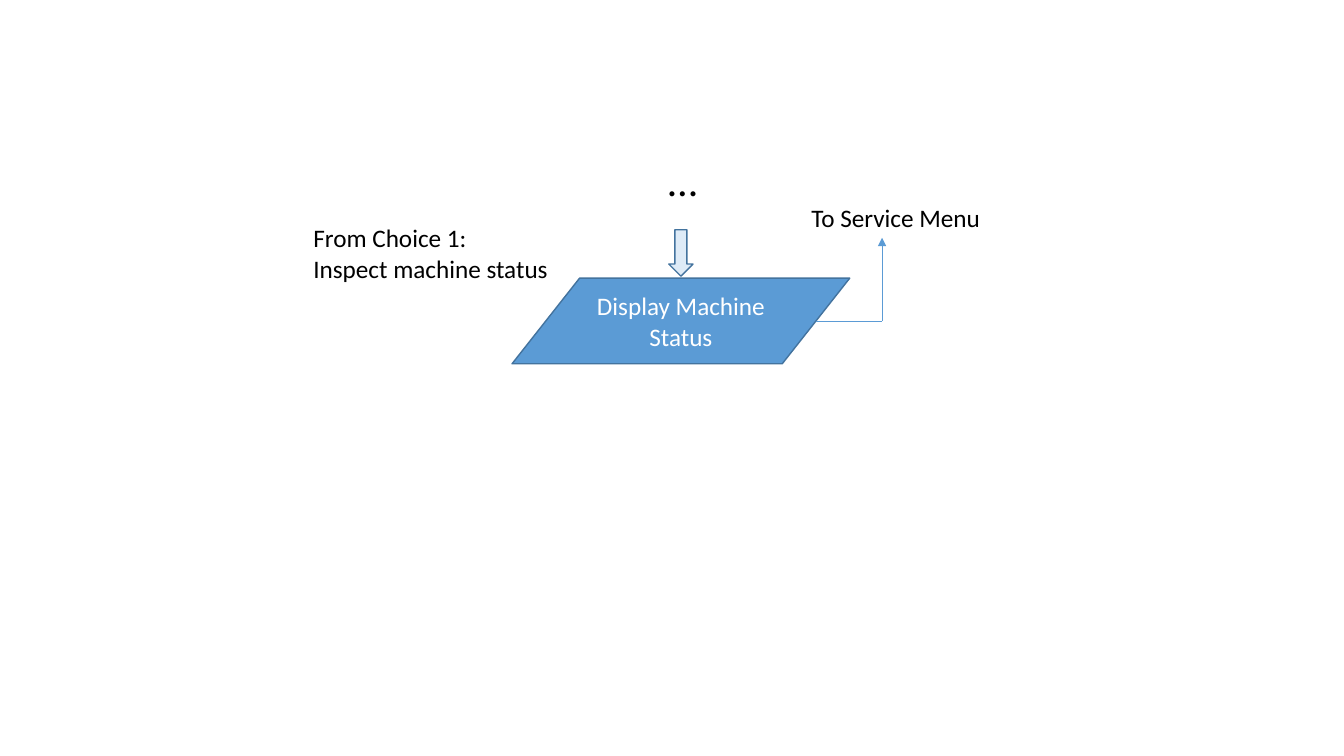
from pptx import Presentation
from pptx.dml.color import RGBColor
from pptx.enum.shapes import MSO_CONNECTOR, MSO_SHAPE
from pptx.enum.text import MSO_ANCHOR, PP_ALIGN
from pptx.oxml.ns import qn
from pptx.util import Inches, Pt
from lxml import etree

SLIDE_W, SLIDE_H = Inches(13.333), Inches(7.5)
BLACK = RGBColor(0x00, 0x00, 0x00)
WHITE = RGBColor(0xFF, 0xFF, 0xFF)
BLUE = RGBColor(0x5B, 0x9B, 0xD5)
PALE_BLUE = RGBColor(0xDE, 0xEB, 0xF7)
DARK_BLUE = RGBColor(0x43, 0x73, 0x9E)
FONT = "Calibri"
LEFT, CENTER = PP_ALIGN.LEFT, PP_ALIGN.CENTER
TOP, MIDDLE, BOTTOM = MSO_ANCHOR.TOP, MSO_ANCHOR.MIDDLE, MSO_ANCHOR.BOTTOM
DOWN_ARROW = MSO_SHAPE.DOWN_ARROW
INPUT_OUTPUT = MSO_SHAPE.FLOWCHART_DATA
STRAIGHT = MSO_CONNECTOR.STRAIGHT


def across(percent):
    """Turn a percentage of the slide's width into a length."""
    return round(SLIDE_W * percent / 100)


def down(percent):
    """Turn a percentage of the slide's height into a length."""
    return round(SLIDE_H * percent / 100)


def place(left, top, width, height):
    """Turn a box in percentages of the slide into lengths."""
    return across(left), down(top), across(width), down(height)


def write(frame, *lines, size=18, color=BLACK, align=LEFT, anchor=TOP):
    """Fill a text frame, one paragraph for each line."""
    frame.word_wrap = True
    frame.vertical_anchor = anchor
    for number, line in enumerate(lines):
        paragraph = frame.add_paragraph() if number else frame.paragraphs[0]
        paragraph.alignment = align
        run = paragraph.add_run()
        run.text = line
        run.font.name, run.font.size = FONT, Pt(size)
        run.font.color.rgb = color


def add_label(slide, box, *lines, **text_format):
    """Add free-standing text."""
    label = slide.shapes.add_textbox(*place(*box))
    write(label.text_frame, *lines, **text_format)


def add_symbol(slide, symbol, box, fill):
    """Add an outlined flowchart symbol and return it."""
    shape = slide.shapes.add_shape(symbol, *place(*box))
    shape.shadow.inherit = False
    shape.fill.solid()
    shape.fill.fore_color.rgb = fill
    shape.line.color.rgb = DARK_BLUE
    shape.line.width = Pt(1)
    return shape


def add_route(slide, points):
    """Join points by thin straight lines with an arrowhead at the end."""
    for (x1, y1), (x2, y2) in zip(points, points[1:]):
        segment = slide.shapes.add_connector(
            STRAIGHT, across(x1), down(y1), across(x2), down(y2))
        segment.line.color.rgb = BLUE
        segment.line.width = Pt(0.5)
        etree.SubElement(segment._element.spPr, qn("a:effectLst"))
    etree.SubElement(segment.line._get_or_add_ln(), qn("a:tailEnd"), type="triangle")


def main():
    """Build the machine status step of the flowchart."""
    deck = Presentation()
    deck.slide_width, deck.slide_height = SLIDE_W, SLIDE_H
    slide = deck.slides.add_slide(deck.slide_layouts[6])

    status_left, status_top, status_w, status_h = status_box = (38.1, 36.8, 25.13, 11.33)
    status_middle = status_top + status_h / 2
    slanted_edge = status_left + 0.9 * status_w
    menu_x, menu_bottom = 65.63, 31.46
    arrow_w, menu_h = 1.8, 5.33
    arrow_left = status_left + (status_w - arrow_w) / 2

    add_label(slide, (48.98, 12.93, 4.35, 14.8), "…", size=30, anchor=BOTTOM)
    add_symbol(slide, DOWN_ARROW, (arrow_left, 30.4, arrow_w, 6.13), PALE_BLUE)
    status = add_symbol(slide, INPUT_OUTPUT, status_box, BLUE)
    write(status.text_frame, "Display Machine Status",
          color=WHITE, align=CENTER, anchor=MIDDLE)
    add_route(slide, [(slanted_edge, status_middle), (menu_x, status_middle),
                      (menu_x, menu_bottom)])
    add_label(slide, (59.63, menu_bottom - menu_h, 16.65, menu_h), "To Service Menu")
    add_label(slide, (22.58, 28.8, 21.68, 9.47),
              "From Choice 1:", "Inspect machine status")

    deck.save("out.pptx")


main()
